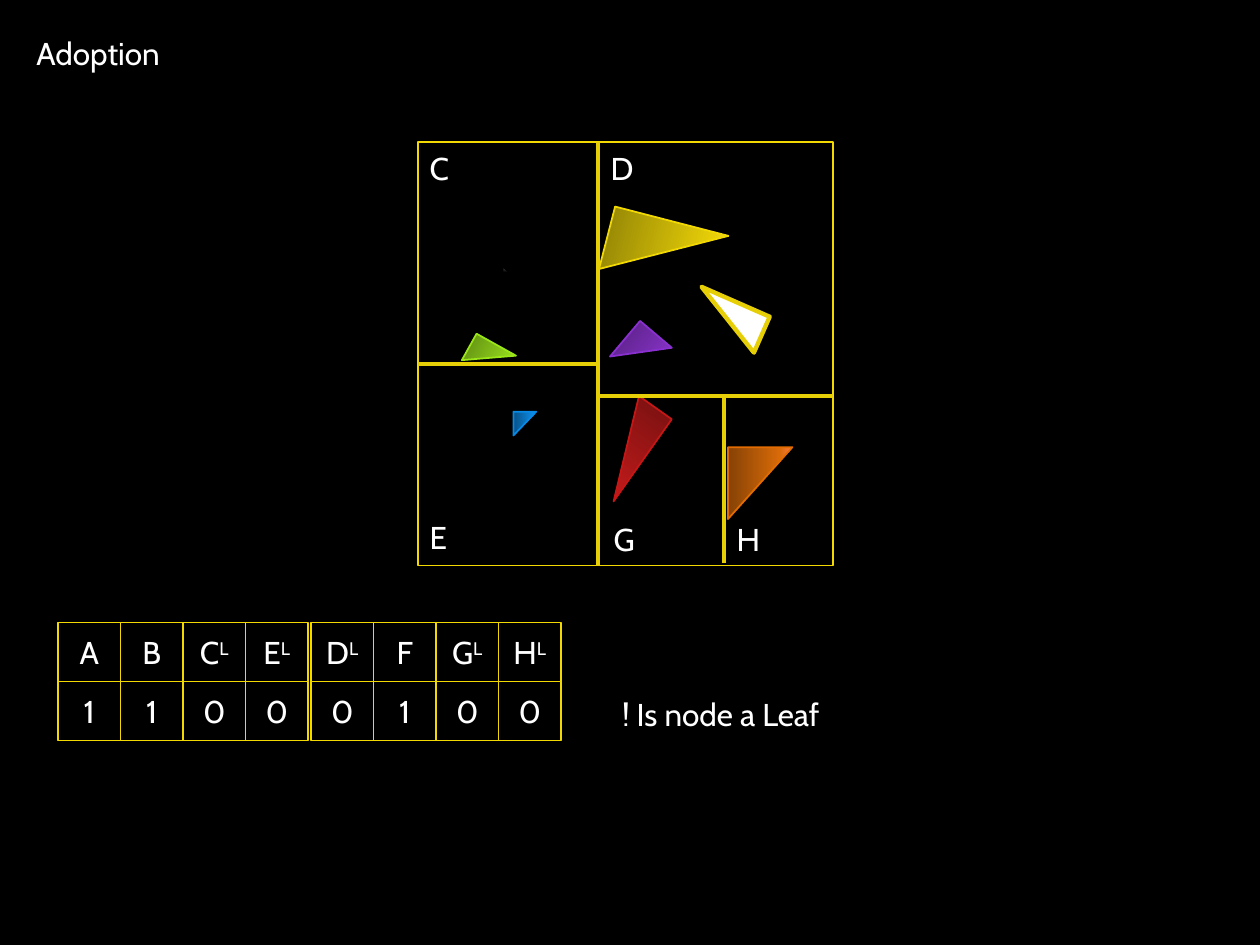
"""Build the Adoption slide: a partitioned scene above its node array."""
import copy
from dataclasses import dataclass

import pptx
import pptx.dml.color
import pptx.enum.shapes
import pptx.enum.text
import pptx.oxml.ns
import pptx.util
from lxml import etree

Cm, Pt = pptx.util.Cm, pptx.util.Pt
RGB = pptx.dml.color.RGBColor.from_string
SHAPE = pptx.enum.shapes.MSO_SHAPE
ALIGN = pptx.enum.text.PP_ALIGN
ANCHOR = pptx.enum.text.MSO_ANCHOR
qn = pptx.oxml.ns.qn


@dataclass(frozen=True)
class Theme:
    background: str = "000000"
    text: str = "FFFFFF"
    border: str = "F2D902"
    divider: str = "E7CF08"
    font: str = "Cabin"
    size: int = 18
    thin: float = 1
    thick: float = 2.5
    black: tuple = ("000000", "000000", "5E5E5E", "000000")
    yellow: tuple = ("8F8105", "E7CF08", "FFE552", "F2D902")
    green: tuple = ("5D8812", "96DC1D", "ACFF4A", "9BE618")
    purple: tuple = ("541F7C", "8733C8", "9D4BF2", "8A30D0")
    blue: tuple = ("085288", "0C85DC", "489AFF", "0789E6")
    orange: tuple = ("864205", "D86A08", "FF7D44", "E26C02")
    red: tuple = ("751010", "BD1A1A", "E84545", "C61616")


theme = Theme()


def write(tf, text, align=ALIGN.LEFT, superscript=""):
    p = tf.paragraphs[0]
    p.alignment = align
    p.font.name = theme.font
    p.font.size = Pt(theme.size)
    p.font.color.rgb = RGB(theme.text)
    p.add_run().text = text
    if superscript:
        r = p.add_run()
        r.text = superscript
        r._r.get_or_add_rPr().set("baseline", "30000")


def outline(sp, color, width):
    sp.line.color.rgb = RGB(color)
    sp.line.width = Pt(width)


prs = pptx.Presentation()
prs.slide_width, prs.slide_height = Cm(25.4), Cm(19.05)
s = prs.slides.add_slide(prs.slide_layouts[5])
s.background.fill.solid()
s.background.fill.fore_color.rgb = RGB(theme.background)

title = s.shapes.title
title.left, title.top, title.width, title.height = Cm(0.48), Cm(0.56), Cm(3.05), Cm(1.02)
title.text_frame.word_wrap = False
title.text_frame.auto_size = pptx.enum.text.MSO_AUTO_SIZE.SHAPE_TO_FIT_TEXT
title.text_frame.vertical_anchor = ANCHOR.TOP
write(title.text_frame, "Adoption")

left, top, right, bottom = 8.43, 2.87, 16.79, 11.4
split = 12.06
frame = s.shapes.add_shape(SHAPE.RECTANGLE, Cm(left), Cm(top), Cm(right - left), Cm(bottom - top))
frame.shadow.inherit = False
frame.fill.background()
outline(frame, theme.border, theme.thin)

triangles = [
    (10.13, 5.36, 0.69, 0.66, 0, theme.black),
    (12.73, 3.91, 1.3, 2.36, 104.5, theme.yellow),
    (13.92, 6.05, 1.5, 0.79, 203.7, None),
    (9.55, 6.76, 0.61, 0.91, 119.1, theme.green),
    (12.45, 6.68, 0.94, 0.84, 130.2, theme.purple),
    (10.34, 8.31, 0.48, 0.46, 90, theme.blue),
    (14.6, 9.09, 1.45, 1.3, 90, theme.orange),
    (12.22, 8.03, 0.81, 2.03, 215.3, theme.red),
]
for x, y, w, h, rotation, colors in triangles:
    sp = s.shapes.add_shape(SHAPE.RIGHT_TRIANGLE, Cm(x), Cm(y), Cm(w), Cm(h))
    sp.shadow.inherit = False
    sp.rotation = rotation
    if colors is None:
        sp.fill.solid()
        sp.fill.fore_color.rgb = RGB(theme.text)
        outline(sp, theme.divider, theme.thick)
        continue
    sp.fill.gradient()
    sp.fill.gradient_angle = 90
    stops = sp._element.spPr.find(qn("a:gradFill")).find(qn("a:gsLst"))
    stops.append(copy.deepcopy(stops[-1]))
    for stop, position, color in zip(sp.fill.gradient_stops, (0, 0.8, 1), colors):
        stop.position = position
        stop.color.rgb = RGB(color)
    outline(sp, colors[-1], theme.thin)

dividers = [
    (split, top, split, bottom),
    (split, 7.34, left, 7.34),
    (right, 7.98, split, 7.98),
    (14.6, 11.35, 14.6, 8),
]
for ends in dividers:
    line = s.shapes.add_connector(pptx.enum.shapes.MSO_CONNECTOR.STRAIGHT, *map(Cm, ends))
    outline(line, theme.divider, theme.thick)
    etree.SubElement(line._element.spPr, qn("a:effectLst"))

labels = [
    ("C", 8.41, 2.87, 0.86),
    ("D", 12.06, 2.87, 0.91),
    ("E", 8.41, 10.31, 0.84),
    ("G", 12.12, 10.36, 0.91),
    ("H", 14.6, 10.36, 0.94),
    ("! Is node a Leaf", 12.29, 13.89, 4.55),
]
for text, x, y, w in labels:
    tf = s.shapes.add_textbox(Cm(x), Cm(y), Cm(w), Cm(1.02)).text_frame
    tf.word_wrap = False
    tf.auto_size = pptx.enum.text.MSO_AUTO_SIZE.SHAPE_TO_FIT_TEXT
    write(tf, text)

cell_w, cell_h = 1.26, 1.19
groups = [(1.17, ("A", "B", "CL", "EL"), "1100"), (6.27, ("DL", "F", "GL", "HL"), "0100")]
for group_left, nodes, flags in groups:
    for row, texts in enumerate((nodes, flags)):
        for col, text in enumerate(texts):
            x, y = group_left + col * cell_w, 12.55 + row * cell_h
            cell = s.shapes.add_shape(SHAPE.RECTANGLE, Cm(x), Cm(y), Cm(cell_w), Cm(cell_h))
            cell.shadow.inherit = False
            cell.fill.background()
            outline(cell, theme.border, theme.thin)
            tf = cell.text_frame
            tf.margin_left = tf.margin_right = 0
            tf.vertical_anchor = ANCHOR.MIDDLE
            write(tf, text[0], ALIGN.CENTER, text[1:])

prs.save("out.pptx")
